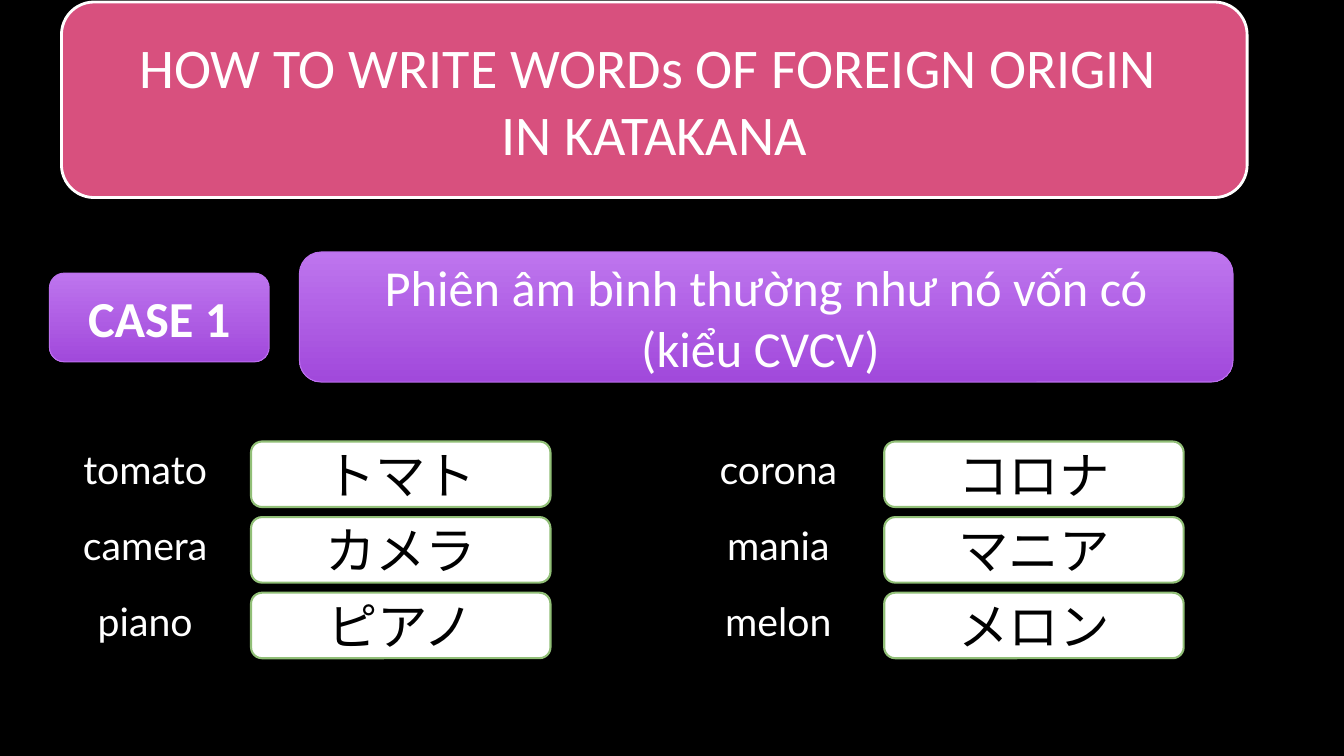
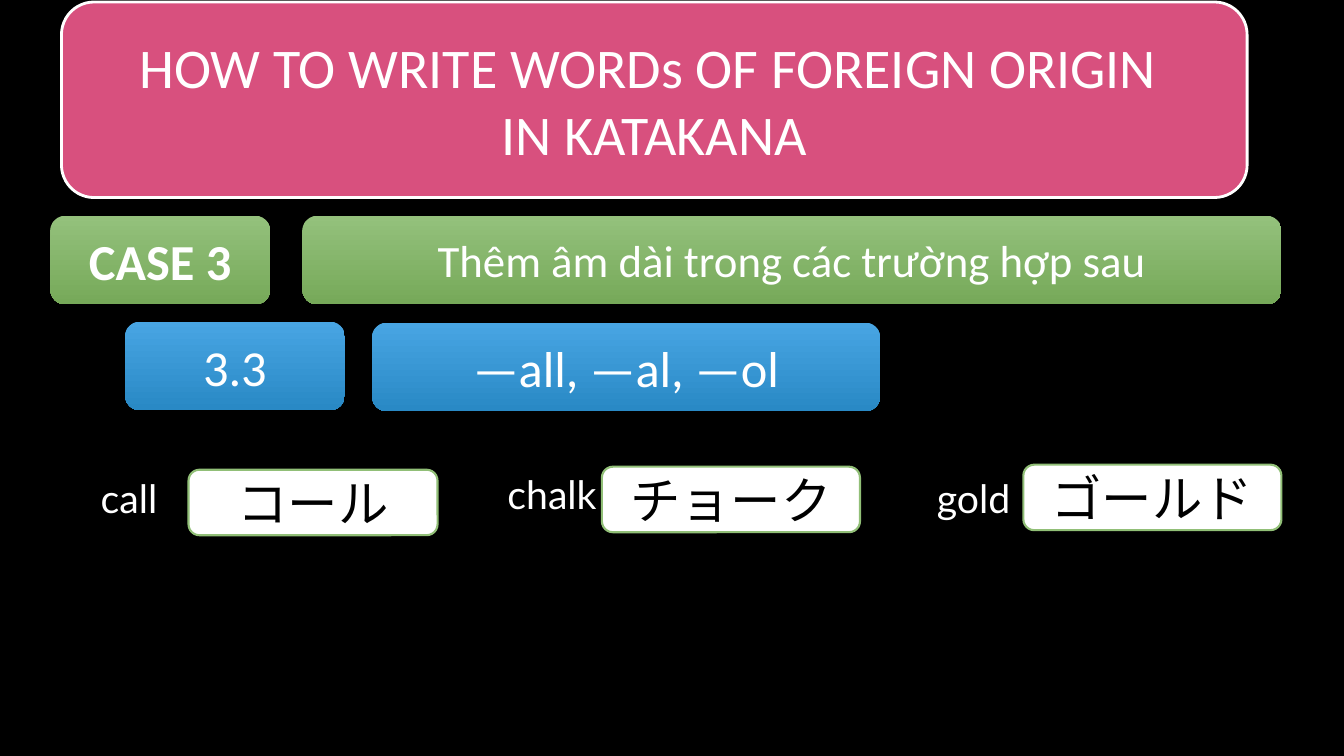
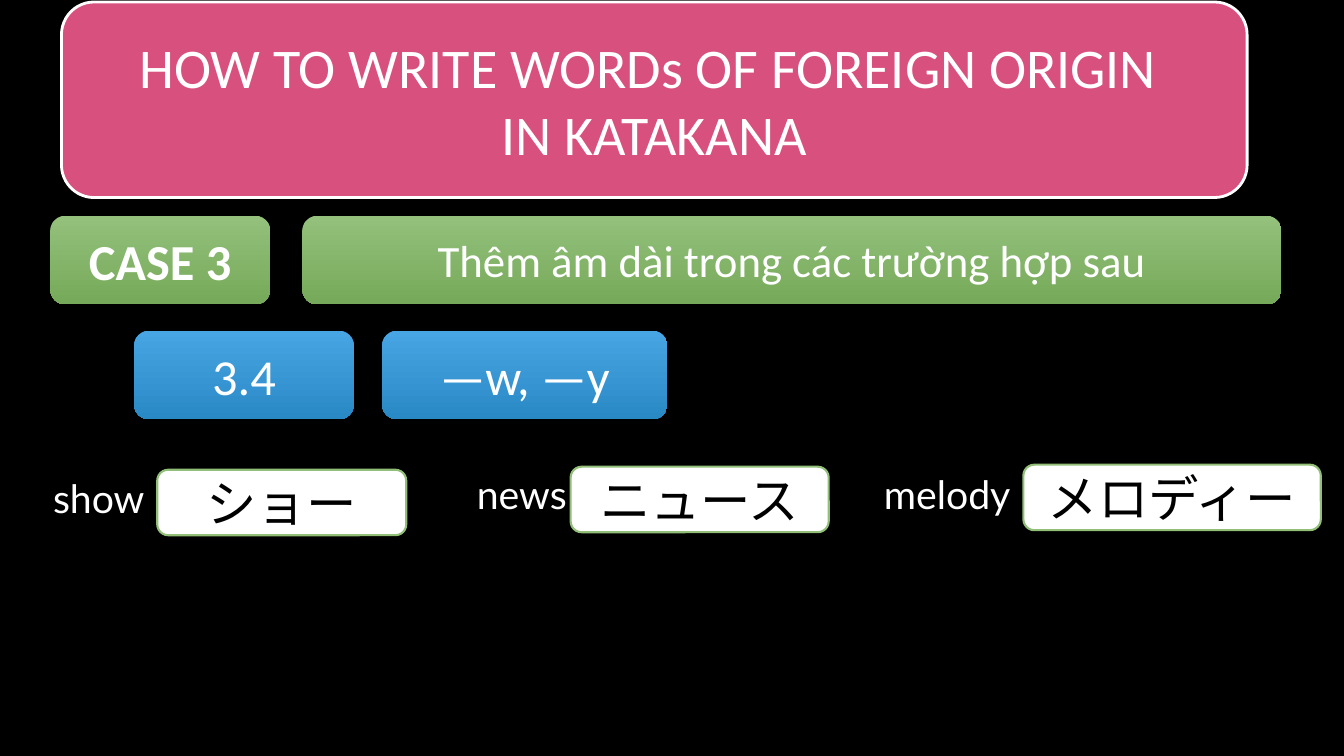
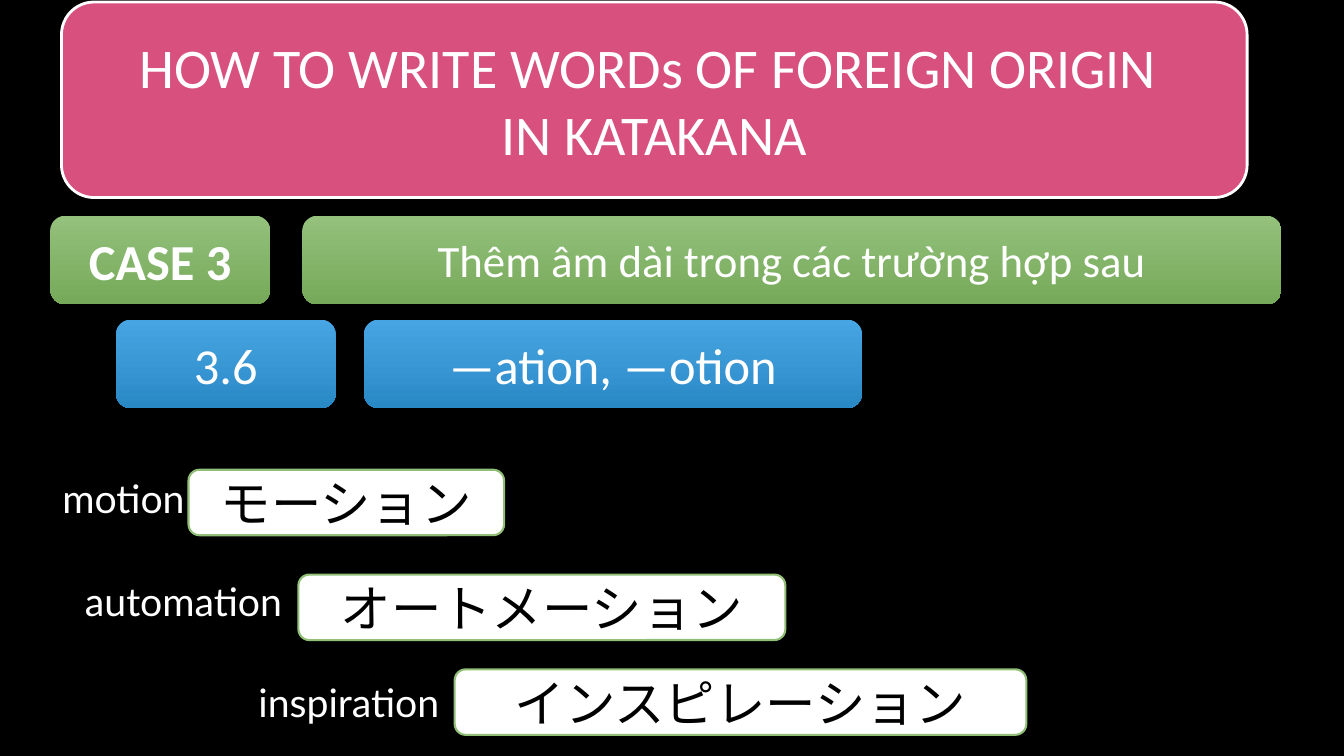
from dataclasses import dataclass
from typing import Optional

from pptx import Presentation
from pptx.dml.color import RGBColor
from pptx.enum.shapes import MSO_SHAPE
from pptx.enum.text import MSO_ANCHOR, PP_ALIGN
from pptx.slide import Slide
from pptx.util import Inches, Pt

WHITE, BLACK = "FFFFFF", "000000"
ROW_HEIGHT = 0.65
PILL_WIDTH, PILL_HEIGHT = 2.18, 0.88
TITLE = ("HOW TO WRITE WORDs OF FOREIGN ORIGIN ", "IN KATAKANA")


@dataclass(frozen=True)
class Style:
    size: int
    font: str = "Calibri"
    color: str = WHITE
    fills: tuple[str, ...] = ()
    line: Optional[str] = None
    line_width: float = 0.75
    bold: bool = False


@dataclass(frozen=True)
class Area:
    left: float
    top: float
    width: float
    height: float = ROW_HEIGHT


@dataclass(frozen=True)
class Word:
    english: str
    label: Area
    katakana: str
    card: Area


@dataclass(frozen=True)
class Ending:
    number: str
    number_area: Area
    pattern: str
    pattern_area: Area
    words: tuple[Word, ...]


PURPLE = ("BE75EE", "A149DB")
GREEN = ("94C17C", "76A959")
BLUE = ("48A5E3", "2989C5")

BANNER = Style(40, fills=("D8507E",), line=WHITE, line_width=2)
PURPLE_RULE = Style(36, fills=PURPLE, line="BC70EE")
PURPLE_CASE = Style(36, fills=PURPLE, line="BC70EE", bold=True)
GREEN_RULE = Style(32, fills=GREEN)
GREEN_CASE = Style(36, fills=GREEN, bold=True)
BLUE_PILL = Style(36, fills=BLUE)
LABEL = Style(28, font="Lato")
CARD = Style(36, font="Lato", color=BLACK, fills=(WHITE,), line="91BF77", line_width=1.5)

COLUMNS = (
    (0.22, (("tomato", "トマト"), ("camera", "カメラ"), ("piano", "ピアノ"))),
    (6.5, (("corona", "コロナ"), ("mania", "マニア"), ("melon", "メロン"))),
)

ENDINGS = (
    Ending(
        "3.3", Area(1.24, 3.19, PILL_WIDTH, PILL_HEIGHT),
        "—all, —al, —ol", Area(3.69, 3.2, 5.04, PILL_HEIGHT),
        (
            Word("call", Area(0.58, 4.61, 1.4), "コール", Area(1.87, 4.66, 2.47)),
            Word("chalk", Area(4.77, 4.57, 1.41), "チョーク", Area(5.97, 4.63, 2.56)),
            Word("gold", Area(8.95, 4.61, 1.41), "ゴールド", Area(10.15, 4.61, 2.56)),
        ),
    ),
    Ending(
        "3.4", Area(1.33, 3.28, PILL_WIDTH, PILL_HEIGHT),
        "—w, —y", Area(3.79, 3.28, 2.83, PILL_HEIGHT),
        (
            Word("show", Area(0.28, 4.61, 1.4), "ショー", Area(1.56, 4.66, 2.47)),
            Word("news", Area(4.47, 4.57, 1.41), "ニュース", Area(5.66, 4.63, 2.56)),
            Word("melody", Area(8.56, 4.57, 1.67), "メロディー", Area(10.15, 4.61, 2.95)),
        ),
    ),
    Ending(
        "3.6", Area(1.15, 3.17, PILL_WIDTH, PILL_HEIGHT),
        "—ation, —otion", Area(3.61, 3.17, 4.94, PILL_HEIGHT),
        (
            Word("motion", Area(0.46, 4.61, 1.53), "モーション", Area(1.87, 4.66, 3.13)),
            Word("automation", Area(0.46, 5.64, 2.72), "オートメーション", Area(2.96, 5.7, 4.83)),
            Word("inspiration", Area(2.17, 6.64, 2.58), "インスピレーション", Area(4.51, 6.64, 5.67)),
        ),
    ),
)


def rgb(color: str) -> RGBColor:
    return RGBColor.from_string(color)


def add_box(page: Slide, area: Area, style: Style, *lines: str) -> None:
    box = page.shapes.add_shape(
        MSO_SHAPE.ROUNDED_RECTANGLE,
        Inches(area.left), Inches(area.top), Inches(area.width), Inches(area.height),
    )
    box.shadow.inherit = False
    if len(style.fills) > 1:
        box.fill.gradient()
        box.fill.gradient_angle = 270
        for stop, color in zip(box.fill.gradient_stops, style.fills):
            stop.color.rgb = rgb(color)
    elif style.fills:
        box.fill.solid()
        box.fill.fore_color.rgb = rgb(style.fills[0])
    else:
        box.fill.background()
    if style.line:
        box.line.color.rgb = rgb(style.line)
        box.line.width = Pt(style.line_width)
    else:
        box.line.fill.background()

    frame = box.text_frame
    frame.word_wrap = True
    frame.vertical_anchor = MSO_ANCHOR.MIDDLE
    for index, line in enumerate(lines):
        para = frame.add_paragraph() if index else frame.paragraphs[0]
        para.alignment = PP_ALIGN.CENTER
        span = para.add_run()
        span.text = line
        span.font.name = style.font
        span.font.size = Pt(style.size)
        span.font.bold = style.bold
        span.font.color.rgb = rgb(style.color)


def add_page(deck: Presentation) -> Slide:
    page = deck.slides.add_slide(deck.slide_layouts[6])
    page.background.fill.solid()
    page.background.fill.fore_color.rgb = rgb(BLACK)
    add_box(page, Area(0.61, 0.02, 11.76, 1.94), BANNER, *TITLE)
    return page


def add_word(page: Slide, word: Word) -> None:
    add_box(page, word.card, CARD, word.katakana)
    add_box(page, word.label, LABEL, word.english)


def add_plain_page(deck: Presentation) -> None:
    page = add_page(deck)
    add_box(page, Area(0.49, 2.71, PILL_WIDTH, PILL_HEIGHT), PURPLE_CASE, "CASE 1")
    add_box(page, Area(2.97, 2.5, 9.26, 1.29), PURPLE_RULE,
            "Phiên âm bình thường như nó vốn có", "(kiểu CVCV) ")
    for left, pairs in COLUMNS:
        for row, (english, katakana) in enumerate(pairs):
            top = 4.33 + 0.75 * row
            add_word(page, Word(english, Area(left, top, 2.44),
                                katakana, Area(left + 2.27, top + 0.05, 2.97)))


def add_ending_page(deck: Presentation, ending: Ending) -> None:
    page = add_page(deck)
    add_box(page, Area(0.5, 2.14, PILL_WIDTH, PILL_HEIGHT), GREEN_CASE, "CASE 3")
    add_box(page, Area(3, 2.14, 9.71, PILL_HEIGHT), GREEN_RULE,
            "Thêm âm dài trong các trường hợp sau")
    add_box(page, ending.number_area, BLUE_PILL, ending.number)
    add_box(page, ending.pattern_area, BLUE_PILL, ending.pattern)
    for word in ending.words:
        add_word(page, word)


def main() -> None:
    deck = Presentation()
    deck.slide_width = Inches(13.33)
    deck.slide_height = Inches(7.5)
    add_plain_page(deck)
    for ending in ENDINGS:
        add_ending_page(deck, ending)
    deck.save("out.pptx")


if __name__ == "__main__":
    main()
